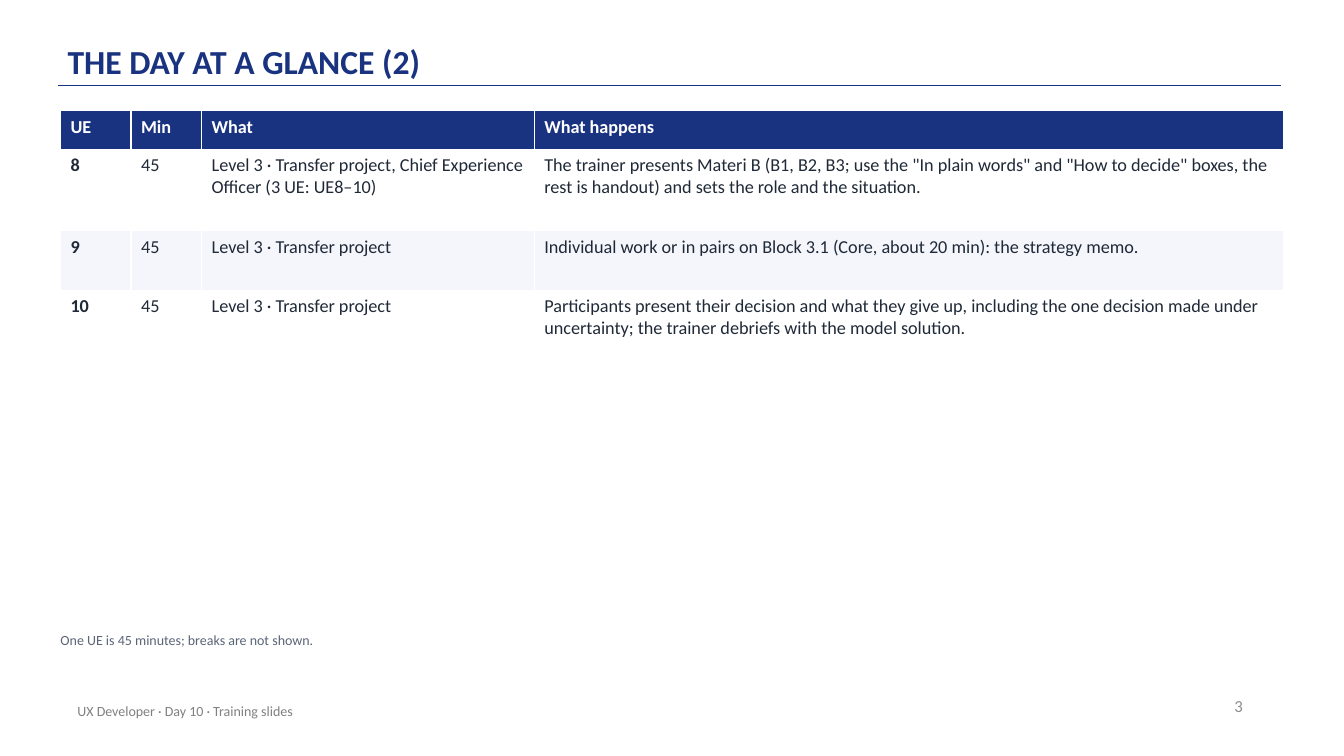
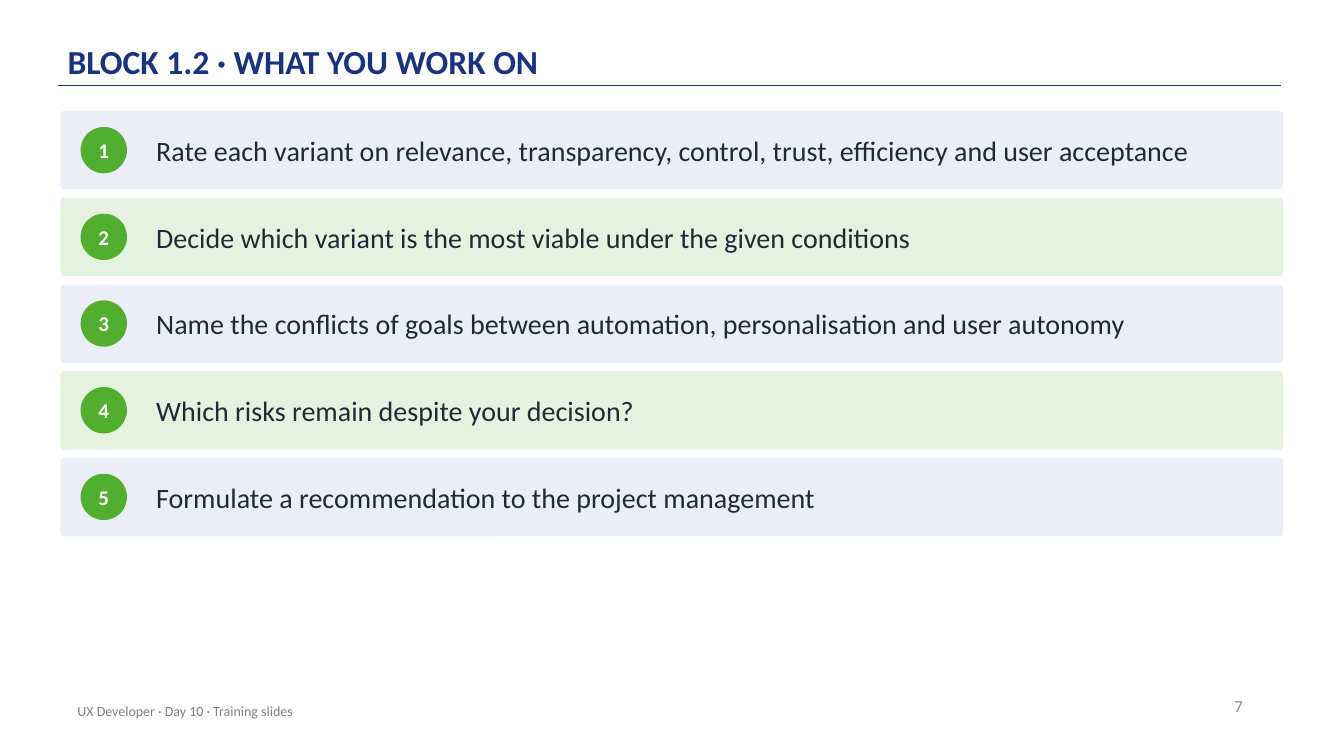
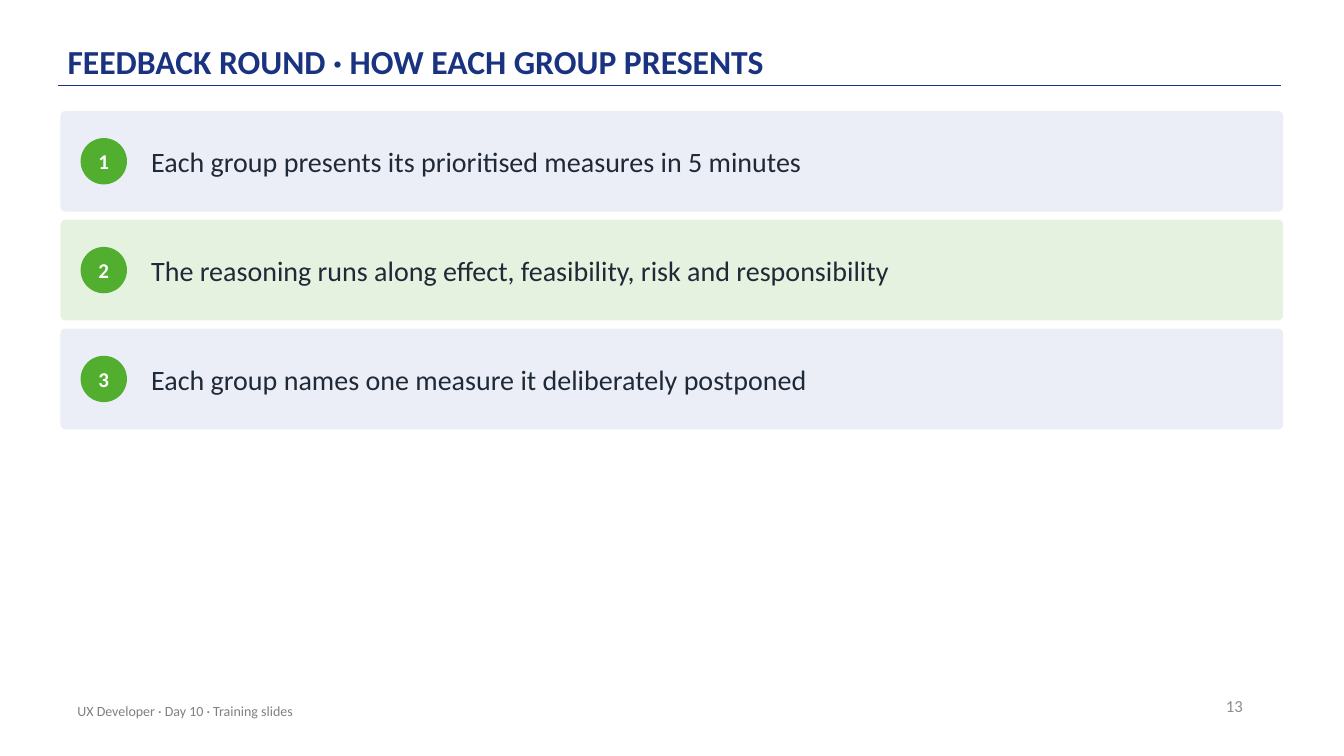
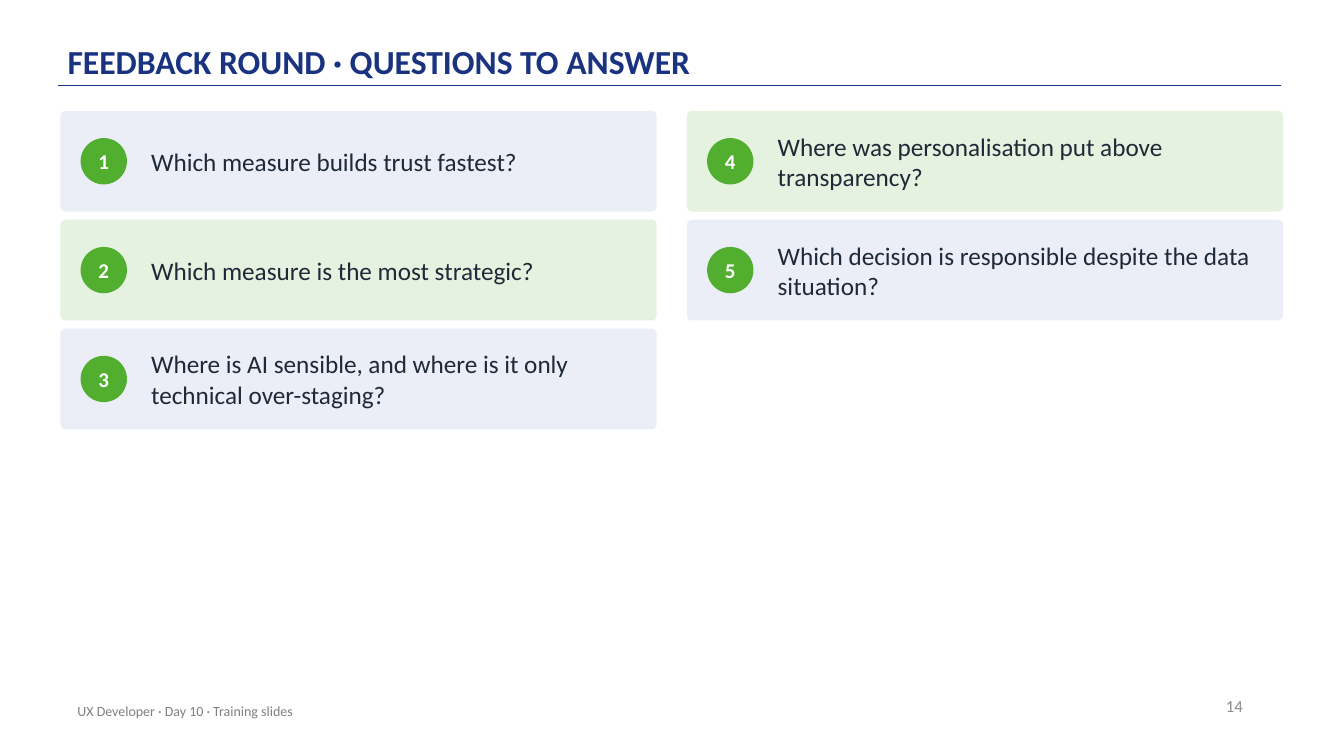
"""Build four training slides: a timetable and three sets of numbered cards."""

import dataclasses
import typing

import lxml.etree
import pptx
import pptx.dml.color
import pptx.enum.shapes
import pptx.enum.text
import pptx.oxml.ns
import pptx.presentation
import pptx.shapes.autoshape
import pptx.slide
import pptx.text.text
import pptx.util

Align = pptx.enum.text.PP_ALIGN
Anchor = pptx.enum.text.MSO_ANCHOR
Preset = pptx.enum.shapes.MSO_SHAPE


class Style(typing.NamedTuple):
    """Size, colour, weight and alignment of a text."""

    size: float
    color: str
    bold: bool = False
    align: Align = Align.LEFT


class Area(typing.NamedTuple):
    """A rectangle in columns and rows of the slide grid."""

    column: float
    row: float
    columns: float
    rows: float


class Insets(typing.NamedTuple):
    """Text frame insets in grid steps."""

    horizontal: float = 0
    vertical: float = 0


@dataclasses.dataclass(frozen=True)
class Theme:
    """Colours and type styles shared by all slides."""

    font: str = "Calibri"
    navy: str = "1A3381"
    green: str = "51AE2F"
    white: str = "FFFFFF"
    card_fills: tuple[str, ...] = ("ECEEF7", "E5F2DF")
    row_fills: tuple[str, ...] = ("FFFFFF", "F4F6FB")
    title: Style = Style(24, "1A3381", bold=True)
    number: Style = Style(12, "8C8C8C", align=Align.RIGHT)
    footer: Style = Style(10, "808080")
    note: Style = Style(10, "5B6577")
    badge: Style = Style(15, "FFFFFF", bold=True, align=Align.CENTER)
    card: Style = Style(20, "1F2937")
    small_card: Style = Style(18, "1F2937")
    table_head: Style = Style(13, "FFFFFF", bold=True)
    table_key: Style = Style(13, "1F2937", bold=True)
    table_body: Style = Style(13, "1F2937")


@dataclasses.dataclass(frozen=True)
class Grid:
    """Fine slide grid with the places that all slides share."""

    step: float = 0.1
    columns: float = 133.33
    rows: float = 75
    left: float = 6
    top: float = 11
    width: float = 121.3
    title: Area = Area(6.7, 1.2, 110, 7.2)
    rule: Area = Area(5.8, 8.5, 121.3, 0)
    number: Area = Area(94.3, 68, 30, 4)
    footer: Area = Area(6.7, 68.5, 67, 4)
    note: Area = Area(6, 62.7, 121, 3)
    gutter: float = 3
    row_gap: float = 0.8
    badge: float = 4.6
    badge_indent: float = 2

    def length(self, steps: float) -> pptx.util.Emu:
        """Convert grid steps to a slide length."""
        return pptx.util.Inches(steps * self.step)

    def place(self, area: Area) -> tuple[pptx.util.Emu, ...]:
        """Convert an area to left, top, width and height."""
        return tuple(self.length(steps) for steps in area)


@dataclasses.dataclass(frozen=True)
class Timetable:
    """Table content with column widths and row heights in grid steps."""

    widths: tuple[float, ...]
    heights: tuple[float, ...]
    rows: tuple[tuple[str, ...], ...]
    note: str


@dataclasses.dataclass(frozen=True)
class CardSet:
    """Numbered cards that fill one or more columns from top to bottom."""

    texts: tuple[str, ...]
    style: Style
    card_rows: float = 10
    text_indent: float = 9
    right_inset: float = 2
    columns: int = 1


@dataclasses.dataclass(frozen=True)
class PageContent:
    """Title, printed number and body of one slide."""

    title: str
    number: int
    body: Timetable | CardSet


THEME = Theme()
GRID = Grid()
FOOTER = "UX Developer · Day 10 · Training slides"

PAGES = (
    PageContent("THE DAY AT A GLANCE (2)", 3, Timetable(
        widths=(7, 7, 33, 74.3),
        heights=(3.8, 8.1, 5.9, 8.1),
        rows=(
            ("UE", "Min", "What", "What happens"),
            ("8", "45",
             "Level 3 · Transfer project, Chief Experience Officer (3 UE: UE8–10)",
             'The trainer presents Materi B (B1, B2, B3; use the "In plain words" and '
             '"How to decide" boxes, the rest is handout) and sets the role and the situation.'),
            ("9", "45", "Level 3 · Transfer project",
             "Individual work or in pairs on Block 3.1 (Core, about 20 min): the strategy memo."),
            ("10", "45", "Level 3 · Transfer project",
             "Participants present their decision and what they give up, including the one "
             "decision made under uncertainty; the trainer debriefs with the model solution."),
        ),
        note="One UE is 45 minutes; breaks are not shown.",
    )),
    PageContent("BLOCK 1.2 · WHAT YOU WORK ON", 7, CardSet(
        (
            "Rate each variant on relevance, transparency, control, trust, efficiency and user acceptance",
            "Decide which variant is the most viable under the given conditions",
            "Name the conflicts of goals between automation, personalisation and user autonomy",
            "Which risks remain despite your decision?",
            "Formulate a recommendation to the project management",
        ),
        THEME.card, card_rows=7.8, text_indent=9.5, right_inset=2.5,
    )),
    PageContent("FEEDBACK ROUND · HOW EACH GROUP PRESENTS", 13, CardSet(
        (
            "Each group presents its prioritised measures in 5 minutes",
            "The reasoning runs along effect, feasibility, risk and responsibility",
            "Each group names one measure it deliberately postponed",
        ),
        THEME.card,
    )),
    PageContent("FEEDBACK ROUND · QUESTIONS TO ANSWER", 14, CardSet(
        (
            "Which measure builds trust fastest?",
            "Which measure is the most strategic?",
            "Where is AI sensible, and where is it only technical over-staging?",
            "Where was personalisation put above transparency?",
            "Which decision is responsible despite the data situation?",
        ),
        THEME.small_card, columns=2,
    )),
)


def rgb(color: str) -> pptx.dml.color.RGBColor:
    """Turn a hex string into a colour."""
    return pptx.dml.color.RGBColor.from_string(color)


def write(frame: pptx.text.text.TextFrame, text: str, style: Style) -> None:
    """Set the text of a frame and format its paragraph and runs."""
    frame.text = text
    para = frame.paragraphs[0]
    para.alignment = style.align
    for span in para.runs:
        span.font.name = THEME.font
        span.font.size = pptx.util.Pt(style.size)
        span.font.bold = style.bold
        span.font.color.rgb = rgb(style.color)


def fit(frame: pptx.text.text.TextFrame, anchor: Anchor, insets: Insets) -> None:
    """Set wrapping, anchor and insets of a text frame."""
    frame.word_wrap = True
    frame.auto_size = pptx.enum.text.MSO_AUTO_SIZE.NONE
    frame.vertical_anchor = anchor
    frame.margin_left = frame.margin_right = GRID.length(insets.horizontal)
    frame.margin_top = frame.margin_bottom = GRID.length(insets.vertical)


def add_text(page: pptx.slide.Slide, area: Area, text: str, style: Style,
             anchor: Anchor = Anchor.MIDDLE, insets: Insets = Insets()) -> None:
    """Add a wrapped text box."""
    box = page.shapes.add_textbox(*GRID.place(area))
    fit(box.text_frame, anchor, insets)
    write(box.text_frame, text, style)


def add_filled(page: pptx.slide.Slide, preset: Preset, area: Area,
               color: str) -> pptx.shapes.autoshape.Shape:
    """Add a flat shape without outline."""
    shape = page.shapes.add_shape(preset, *GRID.place(area))
    shape.shadow.inherit = False
    shape.fill.solid()
    shape.fill.fore_color.rgb = rgb(color)
    shape.line.fill.background()
    return shape


def add_rule(page: pptx.slide.Slide) -> None:
    """Draw the line under the title."""
    left, top, width, _ = GRID.place(GRID.rule)
    rule = page.shapes.add_connector(
        pptx.enum.shapes.MSO_CONNECTOR.STRAIGHT, left, top, left + width, top)
    rule.line.color.rgb = rgb(THEME.navy)
    rule.line.width = pptx.util.Pt(1)
    lxml.etree.SubElement(rule._element.spPr, pptx.oxml.ns.qn("a:effectLst"))


def add_page(deck: pptx.presentation.Presentation, content: PageContent) -> pptx.slide.Slide:
    """Add a slide with title, rule, number and footer."""
    page = deck.slides.add_slide(deck.slide_layouts.get_by_name("Title Only"))
    add_rule(page)
    title = page.shapes.title
    title.left, title.top, title.width, title.height = GRID.place(GRID.title)
    fit(title.text_frame, Anchor.BOTTOM, Insets(0, 0.3))
    write(title.text_frame, content.title, THEME.title)
    title.text_frame.paragraphs[0].line_spacing = 0.9
    margins = Insets(1, 0.5)
    add_text(page, GRID.number, str(content.number), THEME.number, insets=margins)
    add_text(page, GRID.footer, FOOTER, THEME.footer, insets=margins)
    return page


def add_timetable(page: pptx.slide.Slide, timetable: Timetable) -> None:
    """Add the table and the note below it."""
    area = Area(GRID.left, GRID.top, GRID.width, sum(timetable.heights))
    table = page.shapes.add_table(
        len(timetable.rows), len(timetable.widths), *GRID.place(area)).table
    for column, width in zip(table.columns, timetable.widths):
        column.width = GRID.length(width)
    for index, (row, height, texts) in enumerate(
            zip(table.rows, timetable.heights, timetable.rows)):
        row.height = GRID.length(height)
        is_head = index == 0
        fill = THEME.navy if is_head else THEME.row_fills[(index - 1) % len(THEME.row_fills)]
        for position, (cell, text) in enumerate(zip(row.cells, texts)):
            body = THEME.table_key if position == 0 else THEME.table_body
            write(cell.text_frame, text, THEME.table_head if is_head else body)
            cell.fill.solid()
            cell.fill.fore_color.rgb = rgb(fill)
    add_text(page, GRID.note, timetable.note, THEME.note, Anchor.TOP)


def add_cards(page: pptx.slide.Slide, cards: CardSet) -> None:
    """Add the numbered cards, column by column."""
    per_column = -(-len(cards.texts) // cards.columns)
    width = (GRID.width - GRID.gutter * (cards.columns - 1)) / cards.columns
    for index, text in enumerate(cards.texts):
        column, row = divmod(index, per_column)
        left = GRID.left + column * (width + GRID.gutter)
        top = GRID.top + row * (cards.card_rows + GRID.row_gap)
        fill = THEME.card_fills[index % len(THEME.card_fills)]
        card = add_filled(page, Preset.ROUNDED_RECTANGLE,
                          Area(left, top, width, cards.card_rows), fill)
        card.adjustments[0] = 0.05
        badge_top = top + (cards.card_rows - GRID.badge) / 2
        badge = add_filled(
            page, Preset.OVAL,
            Area(left + GRID.badge_indent, badge_top, GRID.badge, GRID.badge), THEME.green)
        fit(badge.text_frame, Anchor.MIDDLE, Insets())
        write(badge.text_frame, str(index + 1), THEME.badge)
        text_width = width - cards.text_indent - cards.right_inset
        add_text(page, Area(left + cards.text_indent, top, text_width, cards.card_rows),
                 text, cards.style)


def main() -> None:
    """Build and save the deck."""
    deck = pptx.Presentation()
    deck.slide_width = GRID.length(GRID.columns)
    deck.slide_height = GRID.length(GRID.rows)
    for content in PAGES:
        page = add_page(deck, content)
        if isinstance(content.body, Timetable):
            add_timetable(page, content.body)
        else:
            add_cards(page, content.body)
    deck.save("out.pptx")


if __name__ == "__main__":
    main()
